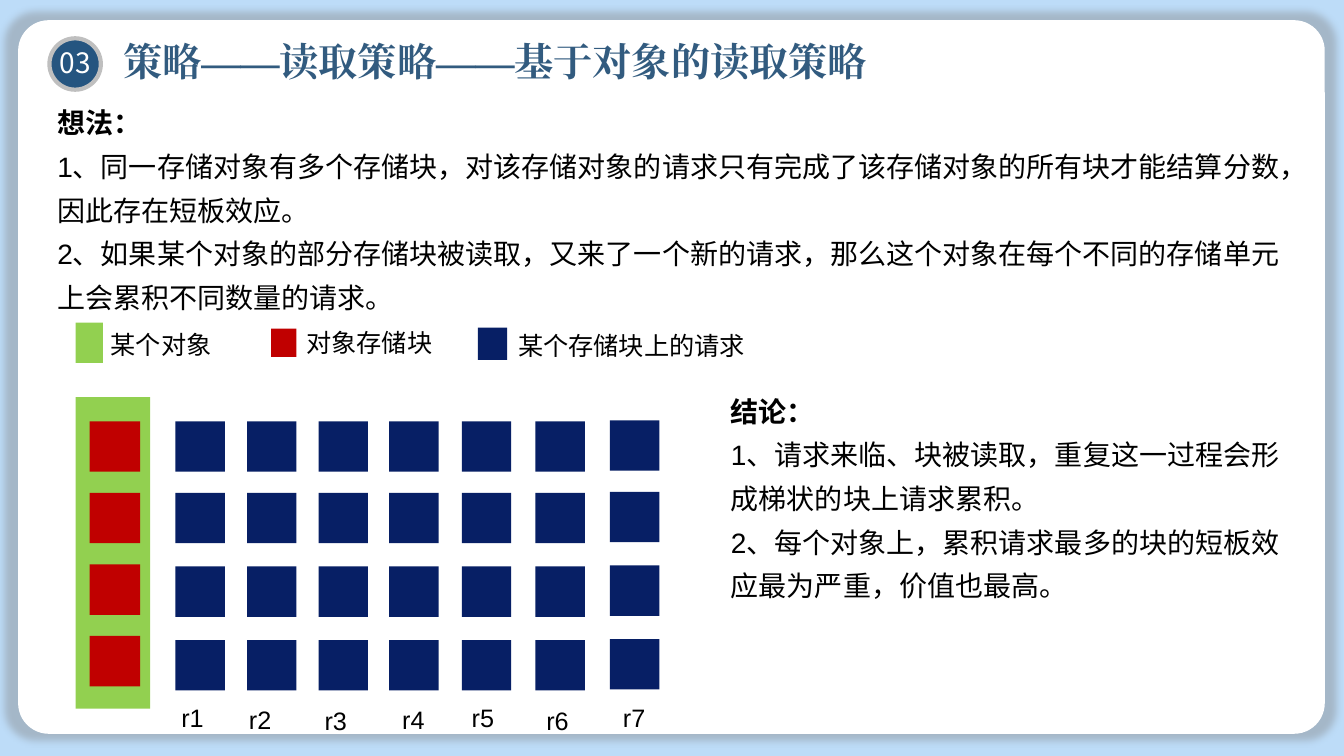
from lxml import etree
from pptx import Presentation
from pptx.dml.color import RGBColor
from pptx.enum.lang import MSO_LANGUAGE_ID as LANG
from pptx.enum.shapes import MSO_SHAPE as SHAPE
from pptx.enum.text import MSO_ANCHOR as ANCHOR, MSO_AUTO_SIZE as FIT, PP_ALIGN as ALIGN
from pptx.oxml import parse_xml
from pptx.oxml.ns import qn
from pptx.util import Inches, Pt

GREEN, RED, NAVY = "92D050", "C00000", "071F65"

deck = Presentation()
deck.slide_width, deck.slide_height = Inches(13.33), Inches(7.5)
page = deck.slides.add_slide(deck.slide_layouts[5])
page.background.fill.solid()
page.background.fill.fore_color.rgb = RGBColor.from_string("BDDCF8")


def add_block(left, top, width, height, color, kind=SHAPE.RECTANGLE):
    block = page.shapes.add_shape(kind, Inches(left), Inches(top), Inches(width), Inches(height))
    block.shadow.inherit = False
    block.fill.solid()
    block.fill.fore_color.rgb = RGBColor.from_string(color)
    block.line.fill.background()
    return block


def write(text, left, top, width, height, size=18, font="Arial", color="000000",
          align=ALIGN.LEFT, spacing=1.0, heading=False, inset=(0.1, 0.05), box=None):
    """Write one paragraph per line of text; heading makes the first one bold."""
    box = box or page.shapes.add_textbox(0, 0, 0, 0)
    box.left, box.top, box.width, box.height = map(Inches, (left, top, width, height))
    frame = box.text_frame
    frame.word_wrap = True
    frame.auto_size = FIT.SHAPE_TO_FIT_TEXT
    frame.vertical_anchor = ANCHOR.TOP
    frame.margin_left = frame.margin_right = Inches(inset[0])
    frame.margin_top = frame.margin_bottom = Inches(inset[1])
    for index, line in enumerate(text.split("\n")):
        para = frame.add_paragraph() if index else frame.paragraphs[0]
        para.alignment = align
        para.line_spacing = spacing
        span = para.add_run()
        span.text = line
        span.font.size = Pt(size)
        span.font.bold = heading and index == 0
        span.font.name = font
        span.font.language_id = LANG.SIMPLIFIED_CHINESE
        span.font.color.rgb = RGBColor.from_string(color)
        east_asian = etree.SubElement(span.font._element, qn("a:ea"))
        east_asian.set("typeface", font)


# White panel with a soft grey halo
panel = add_block(0.18, 0.2, 12.96, 7.08, "FFFFFF", SHAPE.ROUNDED_RECTANGLE)
panel.adjustments[0] = 0.043
effects = panel._element.spPr.find(qn("a:effectLst"))
effects.append(parse_xml(
    '<a:outerShdw xmlns:a="http://schemas.openxmlformats.org/drawingml/2006/main" '
    'blurRad="63500" sx="102000" sy="102000" algn="ctr" rotWithShape="0">'
    '<a:srgbClr val="808080"><a:alpha val="40000"/></a:srgbClr></a:outerShdw>'))

# Title, brought in front of the panel, and its number badge
title = page.shapes.title
panel._element.addnext(title._element)
write("策略——读取策略——基于对象的读取策略", 1.09, 0.3, 7.96, 0.6, size=28,
      font="Times New Roman", color="325B7F", heading=True, inset=(0.13, 0.07), box=title)
badge = add_block(0.49, 0.38, 0.51, 0.51, "255580", SHAPE.OVAL)
badge.line.color.rgb = RGBColor.from_string("BFBFBF")
badge.line.width = Pt(3)
write("03", 0.48, 0.4, 0.53, 0.43, size=20, font="Noto Sans CJK SC", color="FFFFFF",
      align=ALIGN.CENTER)

# Idea and conclusion
write("想法：\n"
      "1、同一存储对象有多个存储块，对该存储对象的请求只有完成了该存储对象的所有块才能结算分数，因此存在短板效应。\n"
      "2、如果某个对象的部分存储块被读取，又来了一个新的请求，那么这个对象在每个不同的存储单元上会累积不同数量的请求。",
      0.47, 0.9, 12.38, 2.27, size=20, spacing=1.3, heading=True)
write("结论：\n"
      "1、请求来临、块被读取，重复这一过程会形成梯状的块上请求累积。\n"
      "2、每个对象上，累积请求最多的块的短板效应最为严重，价值也最高。",
      7.15, 3.76, 5.89, 2.27, size=20, spacing=1.3, heading=True)

# Legend: swatch, then label
legend = [
    ("某个对象", GREEN, (0.75, 3.2, 0.27, 0.4), (1.0, 3.22, 3.13, 0.4)),
    ("对象存储块", RED, (2.69, 3.26, 0.25, 0.28), (2.94, 3.2, 1.68, 0.4)),
    ("某个存储块上的请求", NAVY, (4.74, 3.25, 0.29, 0.32), (5.04, 3.23, 3.13, 0.4)),
]
for label, color, swatch, place in legend:
    add_block(*swatch, color)
    write(label, *place)

# The object with its storage blocks
add_block(0.75, 3.94, 0.74, 3.09, GREEN)
for row in range(4):
    add_block(0.89, 4.18 + 0.71 * row, 0.5, 0.5, RED)

# Requests on each block: column left, column top, label left, label top
requests = [
    (1.74, 4.18, 1.7, 6.92), (2.45, 4.18, 2.37, 6.94), (3.16, 4.18, 3.12, 6.95),
    (3.86, 4.18, 3.89, 6.94), (4.58, 4.18, 4.58, 6.92), (5.31, 4.18, 5.32, 6.95),
    (6.05, 4.17, 6.08, 6.92),
]
for number, (left, top, label_left, label_top) in enumerate(requests, 1):
    for drop in (0, 0.71, 1.44, 2.17):
        add_block(left, top + drop, 0.49, 0.5, NAVY)
    write(f"r{number}", label_left, label_top, 0.61, 0.4)

deck.save("out.pptx")
